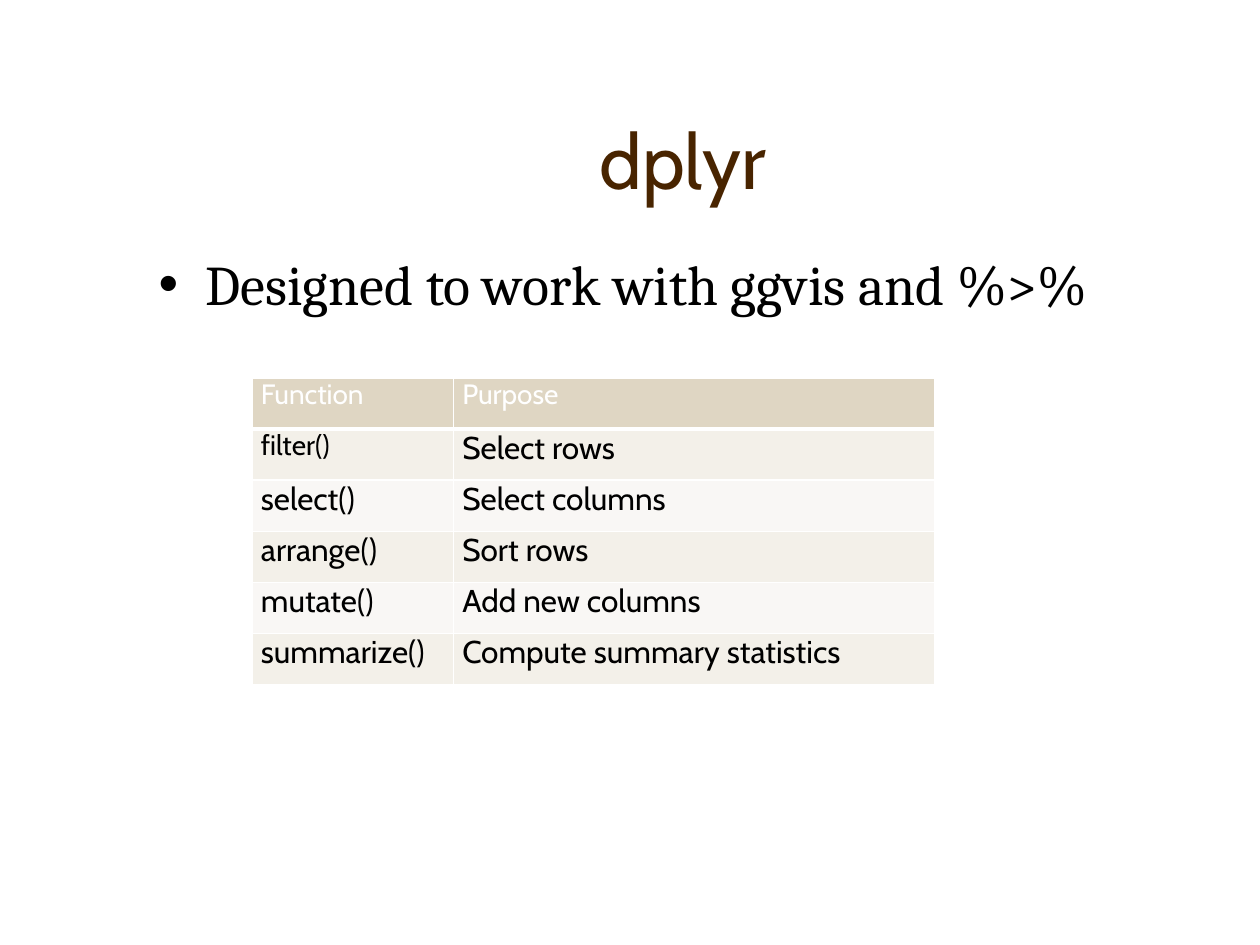
from dataclasses import dataclass

from lxml import etree
from pptx import Presentation
from pptx.dml.color import RGBColor
from pptx.enum.text import MSO_ANCHOR, PP_ALIGN
from pptx.oxml.ns import qn
from pptx.util import Cm, Pt

BOTTOM, TOP = MSO_ANCHOR.BOTTOM, MSO_ANCHOR.TOP
CENTER, LEFT = PP_ALIGN.CENTER, PP_ALIGN.LEFT

TITLE = "dplyr"
BULLET = "Designed to work with ggvis and %>%"
ROWS = [
    ("Function", "Purpose"),
    ("filter()", "Select rows"),
    ("select()", "Select columns"),
    ("arrange()", "Sort rows"),
    ("mutate()", "Add new columns"),
    ("summarize()", "Compute summary statistics"),
]
SMALL_CELLS = {"Function", "Purpose", "filter()"}

TITLE_BOX = (2.97, 1.07, 21.59, 3.18)
BODY_BOX = (2.95, 4.9, 21.59, 11.43)
TABLE_AT = (5.08, 7.62)
COL_WIDTHS = (4.06, 9.7)
ROW_HEIGHT = 1.03
CELL_INSET = 0.18
BULLET_INDENT = 0.95


@dataclass(frozen=True)
class Theme:
    sans: str = "Cabin"
    serif: str = "Cambria"
    title: str = "482400"
    text: str = "000000"
    white: str = "FFFFFF"
    header: str = "DFD6C3"
    bands: tuple = ("F3F0E9", "F9F7F5")
    title_size: int = 44
    body_size: int = 32
    cell_size: int = 18
    small_size: int = 16
    rule: int = 1
    header_rule: int = 3


theme = Theme()


def write(tf, text, font, size, color, align=LEFT):
    tf.text = text
    p = tf.paragraphs[0]
    p.alignment = align
    r = p.runs[0]
    r.font.name = font
    r.font.size = Pt(size)
    r.font.color.rgb = RGBColor.from_string(color)
    return p


def add_text(s, box, anchor, *style):
    tf = s.shapes.add_textbox(*map(Cm, box)).text_frame
    tf.word_wrap = True
    tf.vertical_anchor = anchor
    return write(tf, *style)


def add_bullet(p):
    p.space_before = Pt(theme.body_size * 0.2)
    pPr = p._p.get_or_add_pPr()
    pPr.set("marL", str(Cm(BULLET_INDENT)))
    pPr.set("indent", str(-Cm(BULLET_INDENT)))
    etree.SubElement(pPr, qn("a:buFont"), typeface="Arial")
    etree.SubElement(pPr, qn("a:buChar"), char="•")


def add_borders(cell, widths):
    tcPr = cell._tc.get_or_add_tcPr()
    for side, width in widths.items():
        ln = etree.SubElement(tcPr, qn(f"a:ln{side}"), w=str(Pt(width)))
        fill = etree.SubElement(ln, qn("a:solidFill"))
        etree.SubElement(fill, qn("a:srgbClr"), val=theme.white)


def fill_cell(cell, text, row):
    is_header = row == 0
    cell.margin_left = cell.margin_right = Cm(CELL_INSET)
    cell.margin_top = cell.margin_bottom = 0
    cell.vertical_anchor = TOP
    add_borders(cell, {
        "L": theme.rule,
        "R": theme.rule,
        "T": theme.header_rule if row == 1 else theme.rule,
        "B": theme.header_rule if is_header else theme.rule,
    })
    cell.fill.solid()
    fill = theme.header if is_header else theme.bands[(row - 1) % 2]
    cell.fill.fore_color.rgb = RGBColor.from_string(fill)
    size = theme.small_size if text in SMALL_CELLS else theme.cell_size
    color = theme.white if is_header else theme.text
    write(cell.text_frame, text, theme.sans, size, color)


def add_function_table(s):
    size = (sum(COL_WIDTHS), ROW_HEIGHT * len(ROWS))
    table = s.shapes.add_table(
        len(ROWS), len(COL_WIDTHS), *map(Cm, TABLE_AT + size)
    ).table
    for column, width in zip(table.columns, COL_WIDTHS):
        column.width = Cm(width)
    for row, texts in enumerate(ROWS):
        table.rows[row].height = Cm(ROW_HEIGHT)
        for col, text in enumerate(texts):
            fill_cell(table.cell(row, col), text, row)


def main():
    prs = Presentation()
    prs.slide_width, prs.slide_height = Cm(25.4), Cm(19.05)
    s = prs.slides.add_slide(prs.slide_layouts[6])
    add_text(s, TITLE_BOX, BOTTOM, TITLE, theme.sans, theme.title_size, theme.title, CENTER)
    p = add_text(s, BODY_BOX, TOP, BULLET, theme.serif, theme.body_size, theme.text)
    add_bullet(p)
    add_function_table(s)
    prs.save("out.pptx")


if __name__ == "__main__":
    main()
